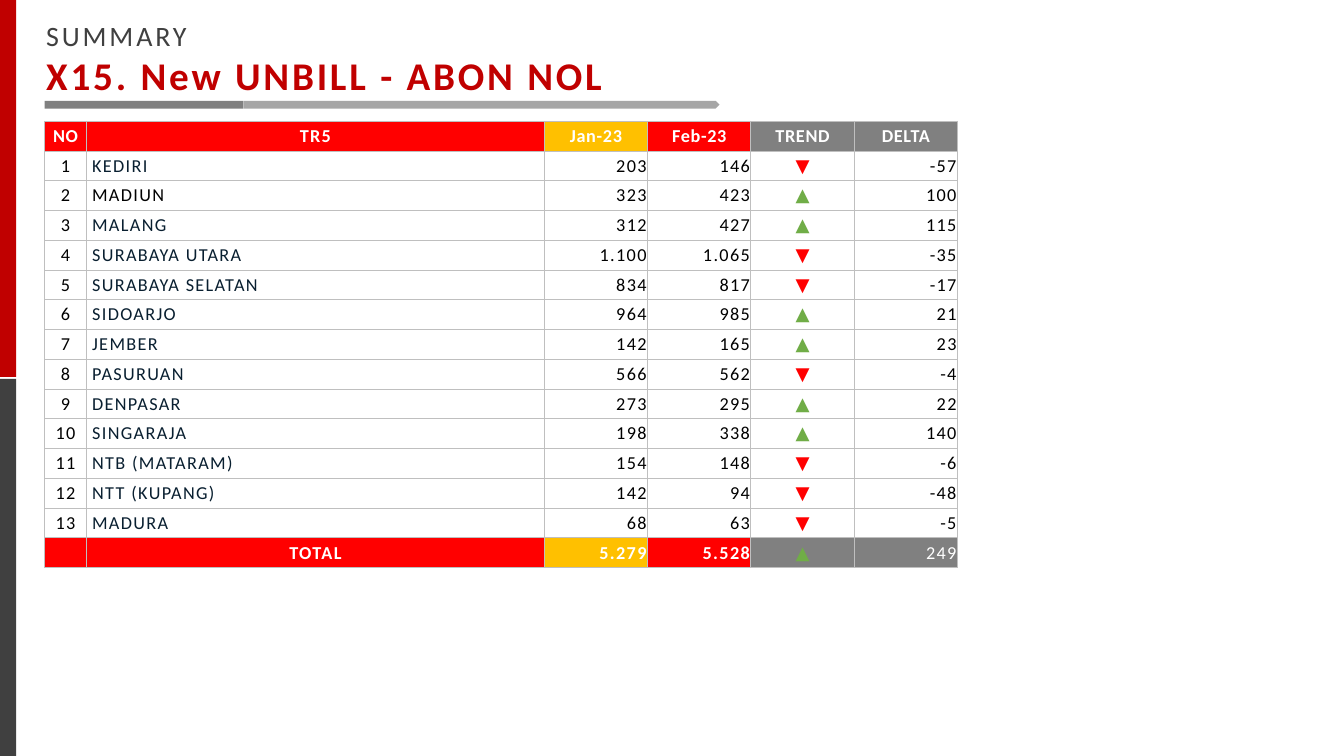
from lxml import etree
from pptx import Presentation
from pptx.dml.color import RGBColor
from pptx.enum.shapes import MSO_SHAPE
from pptx.enum.text import MSO_ANCHOR, MSO_AUTO_SIZE, PP_ALIGN
from pptx.oxml.ns import qn
from pptx.util import Pt

RECT, ARROW = MSO_SHAPE.RECTANGLE, MSO_SHAPE.PENTAGON
LEFT, MID, RIGHT = PP_ALIGN.LEFT, PP_ALIGN.CENTER, PP_ALIGN.RIGHT
MIDDLE, GROW = MSO_ANCHOR.MIDDLE, MSO_AUTO_SIZE.SHAPE_TO_FIT_TEXT
HUES = {
    "dark": "404040", "brand": "C00000", "pale": "A6A6A6", "gray": "808080",
    "red": "FF0000", "gold": "FFC000", "green": "70AD47", "navy": "091F30",
    "black": "000000", "white": "FFFFFF", "edge": "BFBFBF",
}


class Deck:
    face = "Calibri"

    def __init__(self, slide):
        self.slide = slide

    def hue(self, name):
        return RGBColor.from_string(HUES[name])

    def block(self, kind, x, y, w, h, fill):
        shape = self.slide.shapes.add_shape(kind, Pt(x), Pt(y), Pt(w), Pt(h))
        shape.shadow.inherit = False
        shape.fill.solid()
        shape.fill.fore_color.rgb = self.hue(fill)
        shape.line.fill.background()

    def label(self, para, text, size, color, bold=False, align=LEFT, space=1):
        para.text = text
        para.alignment = align
        font = para.font
        font.name, font.size, font.bold = self.face, Pt(size), bold
        font.color.rgb = self.hue(color)
        para._p.pPr.find(qn("a:defRPr")).set("spc", str(int(space * 100)))

    def title(self, x, y, w, h, lines):
        frame = self.slide.shapes.add_textbox(Pt(x), Pt(y), Pt(w), Pt(h)).text_frame
        frame.word_wrap = False
        frame.auto_size = GROW
        for i, (text, size, color, bold) in enumerate(lines):
            para = frame.add_paragraph() if i else frame.paragraphs[0]
            self.label(para, text, size, color, bold, space=2)

    def grid(self, x, y, widths, high, count):
        frame = self.slide.shapes.add_table(
            count, len(widths), Pt(x), Pt(y), Pt(sum(widths)), Pt(high * count))
        table = frame.table
        table.first_row = table.horz_banding = False
        for col, width in zip(table.columns, widths):
            col.width = Pt(width)
        for row in table.rows:
            row.height = Pt(high)
        return table

    def border(self, cell):
        props = cell._tc.get_or_add_tcPr()
        for i, side in enumerate(("lnL", "lnR", "lnT", "lnB")):
            line = etree.Element(qn("a:" + side), w=str(Pt(0.75)))
            fill = etree.SubElement(line, qn("a:solidFill"))
            etree.SubElement(fill, qn("a:srgbClr"), val=HUES["edge"])
            props.insert(i, line)

    def cell(self, cell, text, color, fill=None, pad=0, **style):
        if fill:
            cell.fill.solid()
            cell.fill.fore_color.rgb = self.hue(fill)
        else:
            cell.fill.background()
        self.border(cell)
        cell.vertical_anchor = MIDDLE
        cell.margin_left, cell.margin_right = Pt(pad), Pt(min(pad, 0.75))
        cell.margin_top = cell.margin_bottom = 0
        self.label(cell.text_frame.paragraphs[0], text, 13, color, **style)


def digits(value):
    return f"{value:,}".replace(",", ".")


def trend(old, new):
    return ("▲", "green") if new > old else ("▼", "red")


HEADS = ["NO", "TR5", "Jan-23", "Feb-23", "TREND", "DELTA"]
FILLS = ["red", "red", "gold", "red", "gray", "gray"]
ALIGNS = [MID, LEFT, RIGHT, RIGHT, MID, RIGHT]
PADS = [0, 4, 0.75, 0.75, 0.75, 0.75]
AREAS = [
    ("KEDIRI", 203, 146), ("MADIUN", 323, 423), ("MALANG", 312, 427),
    ("SURABAYA UTARA", 1100, 1065), ("SURABAYA SELATAN", 834, 817),
    ("SIDOARJO", 964, 985), ("JEMBER", 142, 165), ("PASURUAN", 566, 562),
    ("DENPASAR", 273, 295), ("SINGARAJA", 198, 338),
    ("NTB (MATARAM)", 154, 148), ("NTT (KUPANG)", 142, 94), ("MADURA", 68, 63),
]

prs = Presentation()
prs.slide_width, prs.slide_height = Pt(960), Pt(540)
deck = Deck(prs.slides.add_slide(prs.slide_layouts[6]))

for top, fill in ((270.7, "dark"), (0, "brand")):
    deck.block(RECT, 0, top, 11.5, 269.3, fill)
deck.title(25.9, 9.4, 419, 65.5, [
    ("SUMMARY", 20, "dark", False),
    ("X15. New UNBILL - ABON NOL", 28, "brand", True),
])
deck.block(ARROW, 174, 72, 340, 5.6, "pale")
deck.block(RECT, 31.8, 72, 142, 5.6, "gray")

table = deck.grid(31.8, 86.6, [30, 327] + [73.8] * 4, 21.26, len(AREAS) + 2)
for c, (head, fill) in enumerate(zip(HEADS, FILLS)):
    deck.cell(table.cell(0, c), head, "white", fill, bold=True, align=MID,
              space=1 if head == "TR5" else 0.5)

for r, (area, old, new) in enumerate(AREAS, 1):
    mark, tint = trend(old, new)
    texts = [str(r), area, digits(old), digits(new), mark, digits(new - old)]
    name = "black" if area == "MADIUN" else "navy"
    colors = ["black", name, "black", "black", tint, "black"]
    for c, (text, color) in enumerate(zip(texts, colors)):
        deck.cell(table.cell(r, c), text, color, pad=PADS[c], align=ALIGNS[c])

old, new = (sum(area[i] for area in AREAS) for i in (1, 2))
mark, tint = trend(old, new)
sums = ["", "TOTAL", digits(old), digits(new), mark, digits(new - old)]
for c, (text, fill) in enumerate(zip(sums, FILLS)):
    deck.cell(table.cell(len(AREAS) + 1, c), text, tint if text == mark else "white",
              fill, pad=0 if c < 2 else 0.75, bold=c < 4,
              align=MID if c < 2 else ALIGNS[c])

prs.save("out.pptx")
